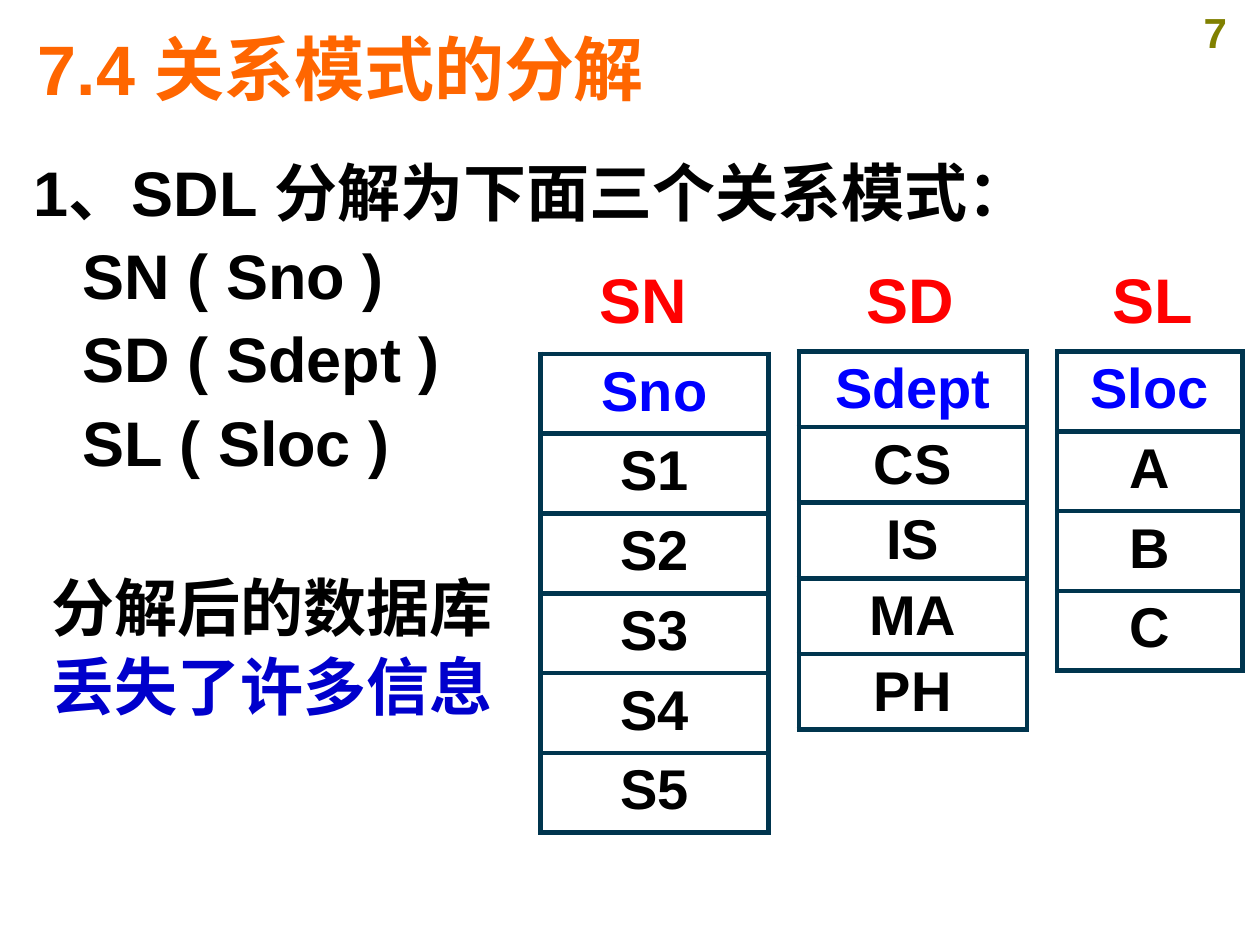
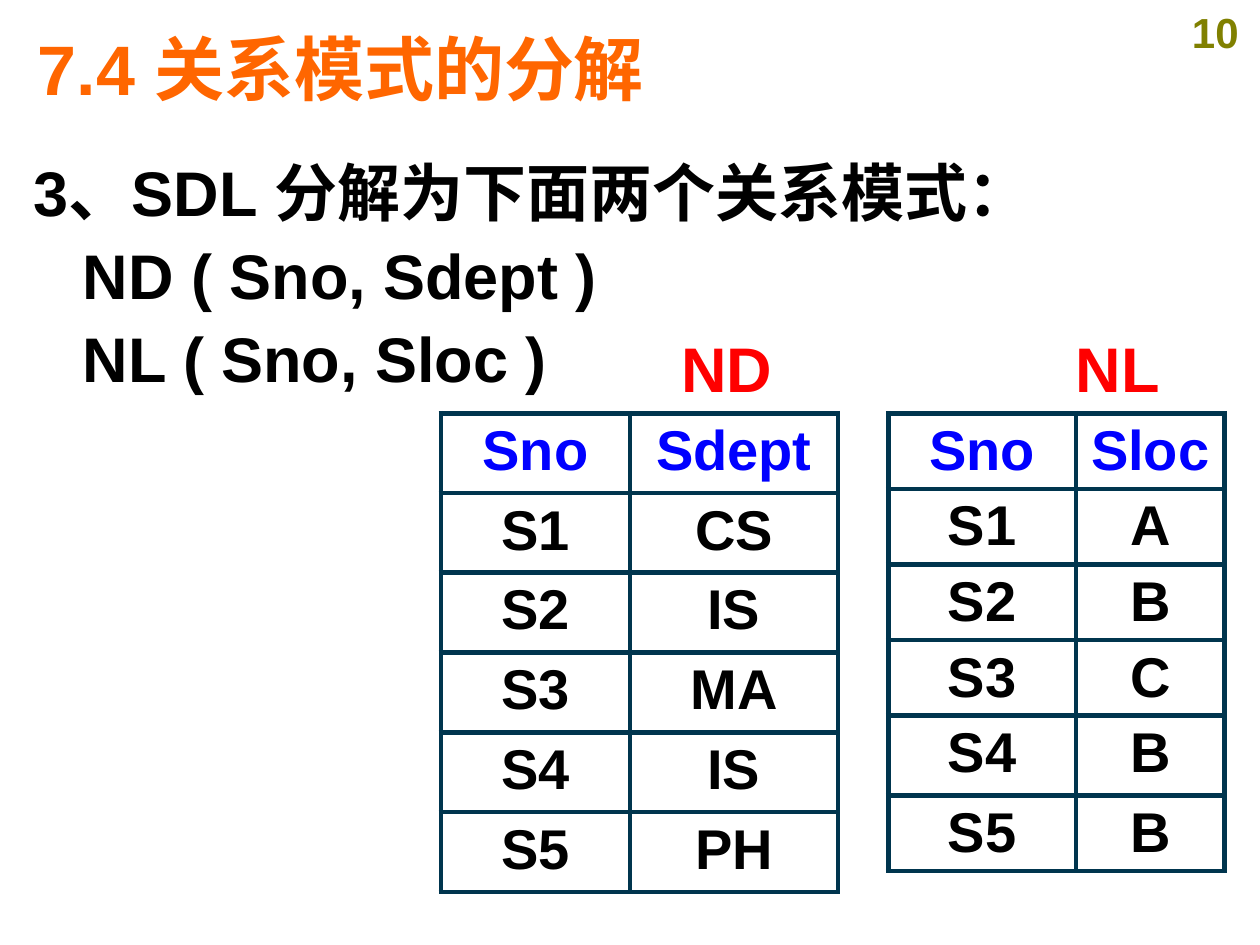
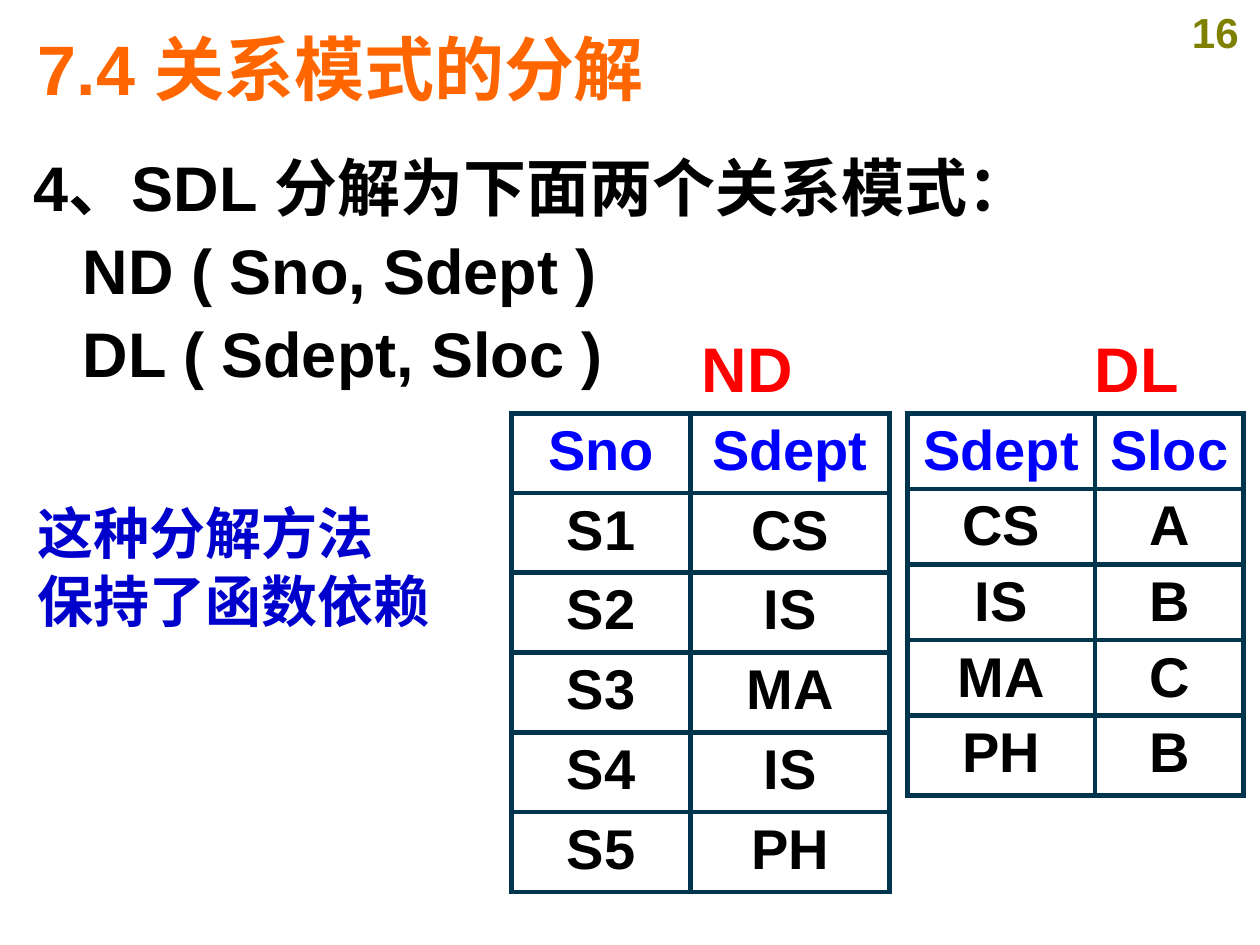
from lxml import etree
from pptx import Presentation
from pptx.dml.color import RGBColor
from pptx.enum.text import MSO_ANCHOR as Anchor, PP_ALIGN as Align
from pptx.oxml.ns import qn
from pptx.util import Inches, Pt

# Shared look
FONT = "Arial"
ORANGE = RGBColor(0xFF, 0x66, 0x00)
OLIVE = RGBColor(0x80, 0x80, 0x00)
BLACK = RGBColor(0x00, 0x00, 0x00)
RED = RGBColor(0xFF, 0x00, 0x00)
BLUE = RGBColor(0x00, 0x00, 0xFF)
NAVY = RGBColor(0x00, 0x00, 0xCC)
TEAL = RGBColor(0x00, 0x35, 0x4E)
TITLE = "7.4 关系模式的分解"
TALL, LOW = 3.8 / 6, 0.6

# Table contents used on more than one slide
STUDENTS = ["Sno", "S1", "S2", "S3", "S4", "S5"]
ND = list(zip(STUDENTS, ["Sdept", "CS", "IS", "MA", "IS", "PH"]))

# Label: text, left, top. Table: left, top, column widths, row heights, rows.
# Note: box, size, alignment, space between, lines with colours.
slides = [
    {
        "page": "7", "top": 1.11, "height": 2.95,
        "lines": ["1、SDL 分解为下面三个关系模式：",
                  "SN ( Sno )", "SD ( Sdept )", "SL ( Sloc )"],
        "labels": [("SN", 4.66, 2.02), ("SD", 6.78, 2.02), ("SL", 8.73, 2.02)],
        "tables": [
            (4.29, 2.81, [1.81], [TALL] * 6, [(s,) for s in STUDENTS]),
            (6.34, 2.79, [1.81], [LOW] * 5,
             [("Sdept",), ("CS",), ("IS",), ("MA",), ("PH",)]),
            (8.39, 2.79, [1.47], [TALL] * 4, [("Sloc",), ("A",), ("B",), ("C",)]),
        ],
        "note": ((0.27, 4.46, 3.78, 1.33), 36, Align.CENTER, 2,
                 [("分解后的数据库", BLACK), ("丢失了许多信息", NAVY)]),
    },
    {
        "page": "10", "top": 1.11, "height": 5.99,
        "lines": ["3、SDL 分解为下面两个关系模式：",
                  "ND ( Sno, Sdept )", "NL ( Sno, Sloc )"],
        "labels": [("ND", 5.31, 2.57), ("NL", 8.44, 2.57)],
        "tables": [
            (3.5, 3.28, [1.5, 1.65], [TALL] * 6, ND),
            (7.05, 3.28, [1.49, 1.18], [LOW] * 4 + [TALL, LOW],
             list(zip(STUDENTS, ["Sloc", "A", "B", "C", "B", "B"]))),
        ],
    },
    {
        "page": "16", "top": 1.07, "height": 2.36,
        "lines": ["4、SDL 分解为下面两个关系模式：",
                  "ND ( Sno, Sdept )", "DL ( Sdept, Sloc )"],
        "labels": [("ND", 5.47, 2.57), ("DL", 8.59, 2.57)],
        "tables": [
            (4.06, 3.28, [1.42, 1.58], [TALL] * 6, ND),
            (7.2, 3.28, [1.49, 1.18], [LOW] * 4 + [TALL],
             [("Sdept", "Sloc"), ("CS", "A"), ("IS", "B"), ("MA", "C"), ("PH", "B")]),
        ],
        "note": ((0.2, 3.91, 4.02, 1.17), 32, Align.LEFT, 0,
                 [("这种分解方法", NAVY), ("保持了函数依赖", NAVY)]),
    },
]


def write(para, text, size, color, align=Align.LEFT):
    para.text = text
    para.alignment = align
    font = para.font
    font.name, font.size, font.bold = FONT, Pt(size), True
    font.color.rgb = color


def add_text(slide, box, lines, size, align=Align.LEFT, gap=0):
    frame = slide.shapes.add_textbox(*map(Inches, box)).text_frame
    frame.word_wrap = True
    for i, (text, color) in enumerate(lines):
        para = frame.add_paragraph() if i else frame.paragraphs[0]
        write(para, text, size, color, align)
        if i and gap:
            para.space_before = Pt(gap)
    return frame


prs = Presentation()
prs.slide_width, prs.slide_height = Inches(10), Inches(7.5)

for data in slides:
    slide = prs.slides.add_slide(prs.slide_layouts[5])

    # Title and page number
    title = slide.shapes.title
    title.left, title.top = Inches(0.2), Inches(0.16)
    title.width, title.height = Inches(9.47), Inches(0.76)
    title.text_frame.vertical_anchor = Anchor.MIDDLE
    write(title.text_frame.paragraphs[0], TITLE, 40, ORANGE)
    add_text(slide, (9.29, 0, 0.71, 0.5), [(data["page"], OLIVE)], 24, Align.CENTER)

    # Heading with its indented relation schemas
    body = add_text(slide, (0.17, data["top"], 9.4, data["height"]),
                    [(line, BLACK) for line in data["lines"]], 36, Align.JUSTIFY)
    for i, para in enumerate(body.paragraphs):
        para.line_spacing = 1.1
        props = para._p.get_or_add_pPr()
        props.set("marL", str(Inches(0.39)))
        props.set("indent", str(0 if i else -Inches(0.39)))

    # Tables
    for left, top, widths, heights, rows in data["tables"]:
        table = slide.shapes.add_table(
            len(rows), len(widths), Inches(left), Inches(top),
            Inches(sum(widths)), Inches(sum(heights))).table
        table.first_row = table.horz_banding = False
        for col, width in zip(table.columns, widths):
            col.width = Inches(width)
        for r, (row, height) in enumerate(zip(rows, heights)):
            table.rows[r].height = Inches(height)
            for c, text in enumerate(row):
                cell = table.cell(r, c)
                cell.margin_top, cell.margin_bottom = Inches(0.05), Inches(0.01)
                cell.margin_left = cell.margin_right = Inches(0.05)
                cell.fill.background()
                write(cell.text_frame.paragraphs[0], text, 32,
                      BLACK if r else BLUE, Align.CENTER)
                props = cell._tc.get_or_add_tcPr()
                for i, side in enumerate(("lnL", "lnR", "lnT", "lnB")):
                    line = etree.Element(qn("a:" + side), w=str(Pt(3)))
                    fill = etree.SubElement(line, qn("a:solidFill"))
                    etree.SubElement(fill, qn("a:srgbClr"), val=str(TEAL))
                    props.insert(i, line)

    # Table labels
    for text, left, top in data["labels"]:
        add_text(slide, (left, top, 0.96, 0.7), [(text, RED)], 36)

    # Conclusion
    if "note" in data:
        box, size, align, gap, lines = data["note"]
        add_text(slide, box, lines, size, align, gap)

prs.save("out.pptx")
